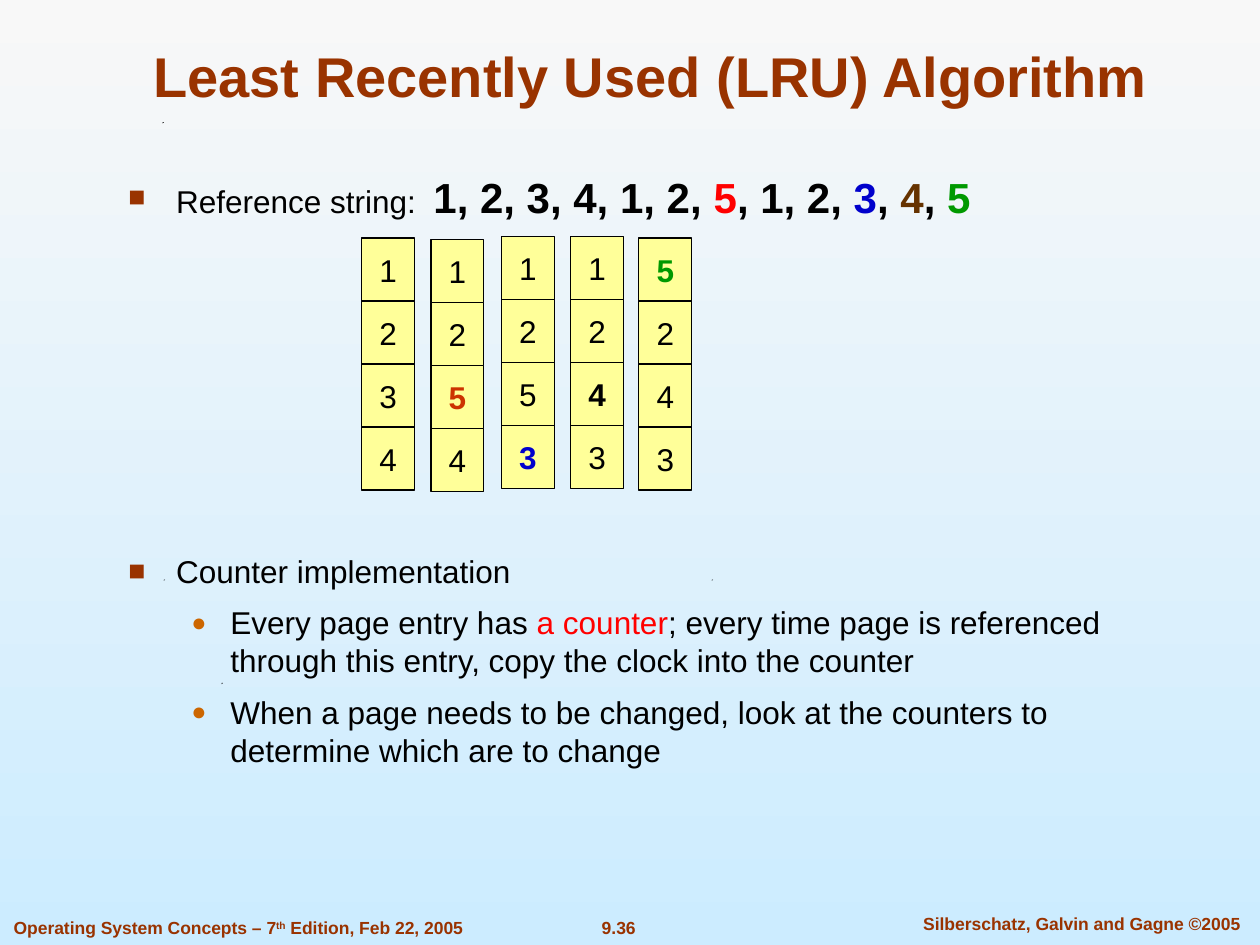
from lxml import etree
from pptx import Presentation
from pptx import util as u
from pptx.dml import color
from pptx.enum import shapes, text
from pptx.oxml import ns

hues = {
    "sky": "CCECFF", "mist": "F8F8F8", "rust": "993300", "black": "000000",
    "red": "FF0000", "blue": "0000CC", "brown": "663300", "green": "009900",
    "brick": "CC3300", "amber": "CC6600", "cream": "FFFF99",
}


def rgb(name):
    return color.RGBColor.from_string(hues[name])


def style(font, size, hue=None, bold=False):
    font.name = "Arial"
    font.size = u.Pt(size)
    font.bold = bold
    if hue:
        font.color.rgb = rgb(hue)


deck = Presentation()
deck.slide_width, deck.slide_height = u.Inches(10), u.Inches(7.5)
slide = deck.slides.add_slide(deck.slide_layouts[5])

back = slide.background.fill
back.gradient()
back.gradient_angle = 270
for stop, hue, place in zip(back.gradient_stops, ("mist", "sky"), (0, 1)):
    stop.color.rgb = rgb(hue)
    stop.position = place

for x, y in ((1.76, 5.42), (1.3, 4.6), (5.65, 4.6), (1.29, 0.97)):
    pen = slide.shapes.build_freeform(u.Inches(x), u.Inches(y + 0.01))
    pen.add_line_segments([(u.Inches(x + 0.01), u.Inches(y)),
                           (u.Inches(x), u.Inches(y))])
    speck = pen.convert_to_shape()
    speck.shadow.inherit = False
    speck.fill.solid()
    speck.fill.fore_color.rgb = rgb("black")
    speck.line.fill.background()

title = slide.shapes.title
title.left, title.top = u.Inches(0.75), u.Inches(0.24)
title.width, title.height = u.Inches(8.83), u.Inches(0.67)
frame = title.text_frame
frame.text = "Least Recently Used (LRU) Algorithm"
frame.auto_size = text.MSO_AUTO_SIZE.NONE
frame.vertical_anchor = text.MSO_ANCHOR.BOTTOM
frame.paragraphs[0].alignment = text.PP_ALIGN.CENTER
style(frame.paragraphs[0].font, 32, "rust", True)

square = ("■", "rust", 90, 0.38, -0.38)
dot = ("●", "amber", 80, 0.81, -0.31)
items = [
    (square, 0, [
        ("Reference string:", 18, "black"), (" ", 18, "black"),
        ("1, 2, 3, 4, 1, 2, ", 24, "black"), ("5", 24, "red"),
        (", 1, 2, ", 24, "black"), ("3", 24, "blue"), (", ", 24, "black"),
        ("4", 24, "brown"), (", ", 24, "black"), ("5", 24, "green")]),
    (square, 188.7, [("Counter implementation", 18, "black")]),
    (dot, 7.9, [
        ("Every page entry has ", 18, "black"), ("a counter", 18, "red"),
        ("; every time page is referenced through this entry, "
         "copy the clock into the counter", 18, "black")]),
    (dot, 7.9, [
        ("When a page needs to be changed, look at the counters to "
         "determine which are to change", 18, "black")]),
]
body = slide.shapes.add_textbox(
    u.Inches(0.92), u.Inches(1.31), u.Inches(8.04), u.Inches(4.9))
frame = body.text_frame
frame.word_wrap = True
for i, (mark, gap, parts) in enumerate(items):
    para = frame.add_paragraph() if i else frame.paragraphs[0]
    glyph, hue, scale, left, hang = mark
    para.level = 1 if mark is dot else 0
    para.space_before = u.Pt(gap)
    props = para._p.get_or_add_pPr()
    props.set("marL", str(u.Inches(left)))
    props.set("indent", str(u.Inches(hang)))
    tint = etree.SubElement(props, ns.qn("a:buClr"))
    etree.SubElement(tint, ns.qn("a:srgbClr"), val=hues[hue])
    etree.SubElement(props, ns.qn("a:buSzPct"), val=str(scale * 1000))
    etree.SubElement(props, ns.qn("a:buFont"), typeface="Arial")
    etree.SubElement(props, ns.qn("a:buChar"), char=glyph)
    for words, size, hue in parts:
        run = para.add_run()
        run.text = words
        style(run.font, size, hue, size == 24)
        if words == " ":
            run._r.get_or_add_rPr().set("spc", "500")

frames = [
    (2.87, 1.89, "1234", None, None),
    (3.42, 1.9, "1254", 2, "brick"),
    (3.98, 1.88, "1253", 3, "blue"),
    (4.53, 1.88, "1243", 2, "black"),
    (5.07, 1.89, "5243", 0, "green"),
]
for x, y, pages, fresh, hue in frames:
    for row, page in enumerate(pages):
        cell = slide.shapes.add_shape(
            shapes.MSO_SHAPE.RECTANGLE, u.Inches(x), u.Inches(y + row * 0.5),
            u.Inches(0.42), u.Inches(0.5))
        cell.shadow.inherit = False
        cell.fill.solid()
        cell.fill.fore_color.rgb = rgb("cream")
        cell.line.color.rgb = rgb("black")
        cell.line.width = u.Pt(0.75)
        frame = cell.text_frame
        frame.text = page
        frame.word_wrap = False
        frame.vertical_anchor = text.MSO_ANCHOR.MIDDLE
        para = frame.paragraphs[0]
        para.alignment = text.PP_ALIGN.CENTER
        new = row == fresh
        style(para.font, 18, hue if new else "black", new)

notes = [
    (0.01, 7.23, 4.1, text.PP_ALIGN.LEFT,
     ["Operating System Concepts – 7", "th", " Edition, Feb 22, 2005"]),
    (4.42, 7.23, 0.98, text.PP_ALIGN.CENTER, ["9.36"]),
    (7.1, 7.2, 2.97, text.PP_ALIGN.CENTER,
     ["Silberschatz, Galvin and Gagne ©2005"]),
]
for x, y, width, align, parts in notes:
    foot = slide.shapes.add_textbox(
        u.Inches(x), u.Inches(y), u.Inches(width), u.Inches(0.27))
    foot.text_frame.word_wrap = True
    para = foot.text_frame.paragraphs[0]
    para.alignment = align
    style(para.font, 10, "rust", True)
    for words in parts:
        run = para.add_run()
        run.text = words
        if words == "th":
            run._r.get_or_add_rPr().set("baseline", "30000")

deck.save("out.pptx")
